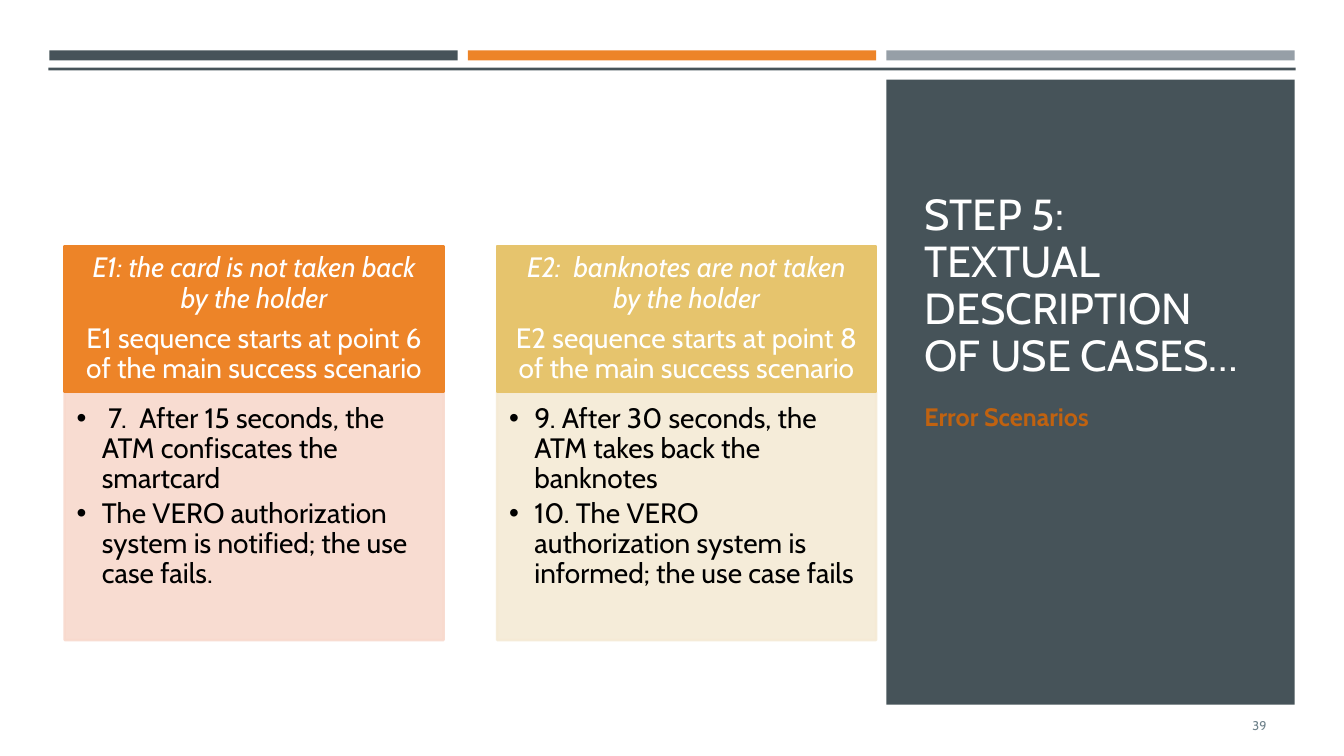
import pptx
import pptx.util
import pptx.dml.color
import pptx.enum.shapes
import pptx.enum.text
import pptx.oxml.ns
import pptx.oxml.xmlchemy

Pt = pptx.util.Pt
Align = pptx.enum.text.PP_ALIGN
Anchor = pptx.enum.text.MSO_ANCHOR
PX = 9144

HUES = {
    "slate": "465359", "orange": "ED8428", "grey": "969FA7",
    "gold": "E6C46D", "peach": "F8D9CD", "cream": "F5EAD5",
    "white": "FFFFFF", "black": "000000", "rust": "C06210", "number": "6D818A",
}

CARDS = [
    ("orange", "peach",
     "E1: the card is not taken back by the holder",
     "E1 sequence starts at point 6 of the main success scenario",
     [" 7.  After 15 seconds, the ATM confiscates the smartcard",
      "The VERO authorization system is notified; the use case fails."]),
    ("gold", "cream",
     "E2:  banknotes are not taken by the holder",
     "E2 sequence starts at point 8 of the main success scenario",
     ["9. After 30 seconds, the ATM takes back the banknotes",
      "10. The VERO authorization system is informed; the use case fails"]),
]


class Deck:
    font = "Cabin"

    def __init__(self, wide, high):
        self.prs = pptx.Presentation()
        self.prs.slide_width = wide * PX
        self.prs.slide_height = high * PX
        self.slide = self.prs.slides.add_slide(self.prs.slide_layouts[3])

    def hue(self, name):
        return pptx.dml.color.RGBColor.from_string(HUES[name])

    def place(self, shape, box):
        shape.left, shape.top, shape.width, shape.height = [n * PX for n in box]

    def paint(self, shape, name, line=False, alpha=None):
        fills = [shape.fill]
        if line:
            shape.line.width = Pt(1.75)
            fills.append(shape.line.fill)
        else:
            shape.line.fill.background()
        for fill in fills:
            fill.solid()
            fill.fore_color.rgb = self.hue(name)
        if alpha:
            tag = pptx.oxml.ns.qn("a:srgbClr")
            for clr in shape.element.spPr.iter(tag):
                node = pptx.oxml.xmlchemy.OxmlElement("a:alpha")
                node.set("val", str(alpha * 1000))
                clr.append(node)

    def rect(self, box, name, line=False):
        kind = pptx.enum.shapes.MSO_SHAPE.RECTANGLE
        shape = self.slide.shapes.add_shape(kind, *[n * PX for n in box])
        shape.shadow.inherit = False
        self.paint(shape, name, line)
        return shape

    def frame(self, shape, anchor, pads=(10, 5, 10, 5)):
        tf = shape.text_frame
        tf.word_wrap = True
        tf.auto_size = pptx.enum.text.MSO_AUTO_SIZE.NONE
        tf.vertical_anchor = anchor
        (tf.margin_left, tf.margin_top,
         tf.margin_right, tf.margin_bottom) = [n * PX for n in pads]
        return tf

    def para(self, tf, text, size, name, align=Align.LEFT, after=0,
             lead=1.0, bold=False, slant=False):
        par = tf.paragraphs[0]
        if par.runs:
            par = tf.add_paragraph()
        par.alignment = align
        par.line_spacing = lead
        par.space_before = Pt(0)
        par.space_after = Pt(after)
        run = par.add_run()
        run.text = text
        font = run.font
        font.name, font.size = self.font, Pt(size)
        font.bold, font.italic = bold, slant
        font.color.rgb = self.hue(name)
        return par

    def title(self, box, text):
        shape = self.slide.shapes.title
        self.place(shape, box)
        shape.element.getparent().append(shape.element)
        self.para(self.frame(shape, Anchor.BOTTOM), text, 31, "white", lead=0.9)

    def label(self, box, text, size, name, anchor=Anchor.TOP, **style):
        shape = self.slide.shapes.add_textbox(*[n * PX for n in box])
        self.para(self.frame(shape, anchor), text, size, name, **style)

    def head(self, box, name, case, start):
        shape = self.rect(box, name, True)
        tf = self.frame(shape, Anchor.MIDDLE, (16, 9, 16, 9))
        for text, slant in ((case, True), (start, False)):
            self.para(tf, text, 20, "white", Align.CENTER, 7, 0.9, slant=slant)

    def steps(self, slot, box, name, items):
        shape = self.slide.placeholders[slot]
        self.place(shape, box)
        self.paint(shape, name, True, 90)
        tf = self.frame(shape, Anchor.TOP, (12, 12, 16, 17))
        for text in items:
            par = self.para(tf, text, 20, "black", after=3, lead=0.9)
            props = par._p.get_or_add_pPr()
            props.set("marL", str(25 * PX))
            props.set("indent", str(-25 * PX))
            mark = pptx.oxml.xmlchemy.OxmlElement("a:buChar")
            mark.set("char", "•")
            props.append(mark)


def main():
    deck = Deck(1333, 750)
    for col, name in enumerate(("slate", "orange", "grey")):
        deck.rect((49 + 415 * col, 50, 405, 10), name)
    deck.rect((48, 67, 1237, 3), "slate")
    deck.rect((879, 79, 405, 620), "slate")
    deck.title((907, 155, 337, 228), "STEP 5: TEXTUAL DESCRIPTION OF USE CASES…")
    deck.label((907, 393, 231, 40), "Error Scenarios", 18, "rust", bold=True)
    deck.label((1155, 700, 111, 40), "39", 9, "number", Anchor.MIDDLE,
               align=Align.RIGHT, after=6)
    for col, (dark, pale, case, start, items) in enumerate(CARDS):
        left = 64 + 429 * col
        deck.head((left, 244, 376, 145), dark, case, start)
        deck.steps(col + 1, (left, 389, 376, 246), pale, items)
    deck.prs.save("out.pptx")


if __name__ == "__main__":
    main()
